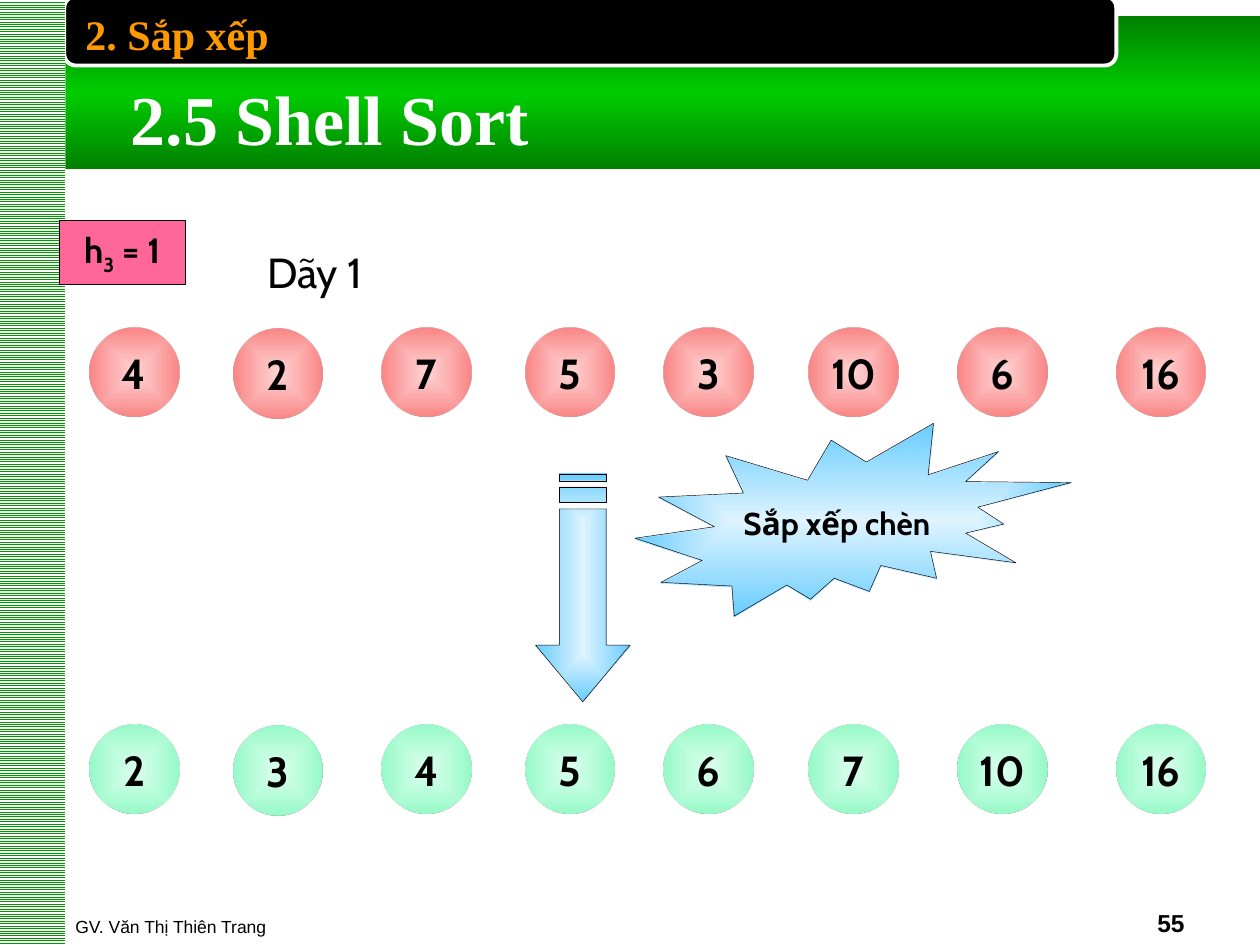
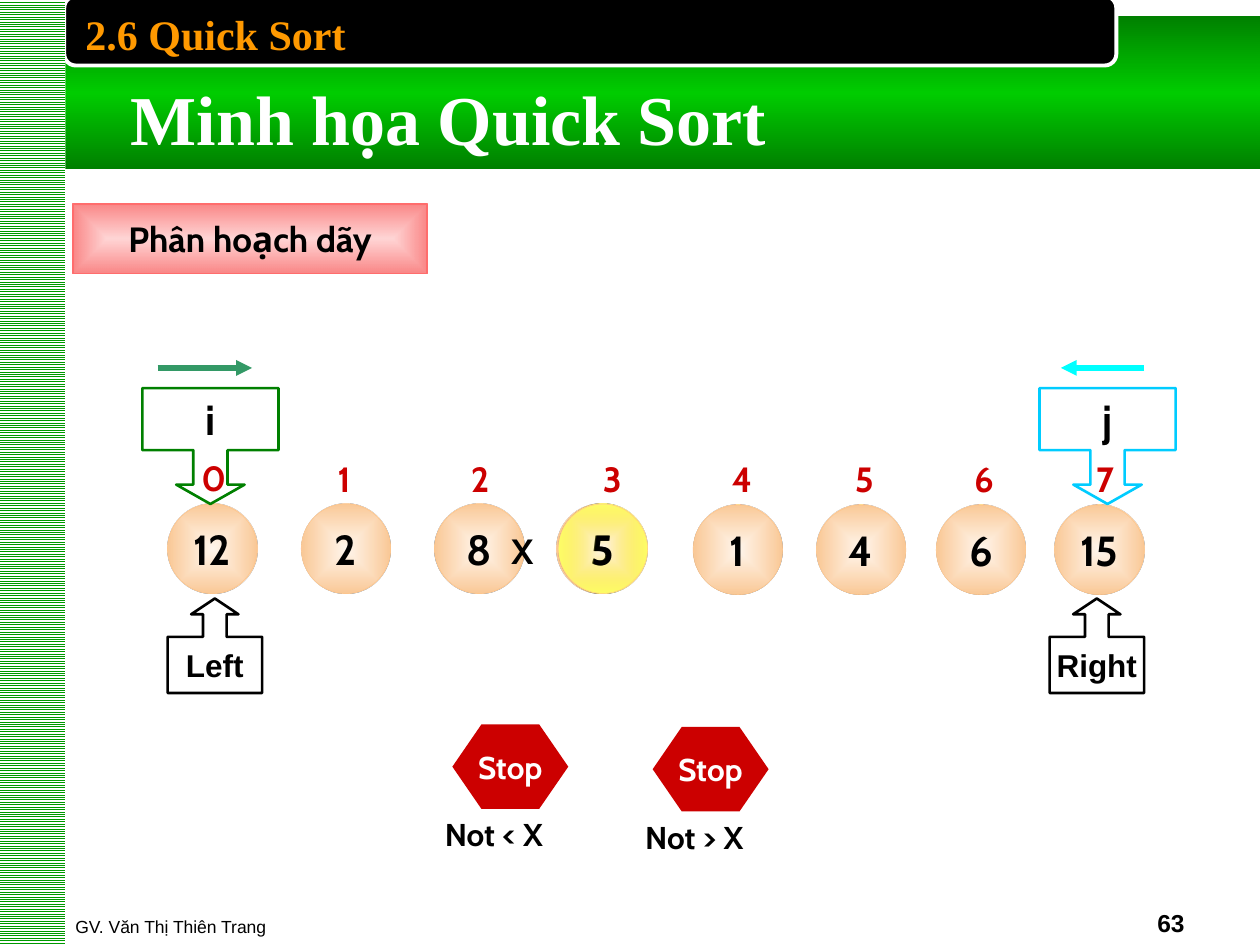
from lxml import etree
from pptx import Presentation
from pptx.dml.color import RGBColor
from pptx.enum.dml import MSO_PATTERN
from pptx.enum.shapes import MSO_CONNECTOR, MSO_SHAPE
from pptx.enum.text import MSO_ANCHOR, PP_ALIGN
from pptx.oxml.ns import qn
from pptx.util import Inches, Pt

RECT, ROUND, OVAL = MSO_SHAPE.RECTANGLE, MSO_SHAPE.ROUNDED_RECTANGLE, MSO_SHAPE.OVAL
BURST, HEX = MSO_SHAPE.EXPLOSION2, MSO_SHAPE.HEXAGON
UP, DOWN = MSO_SHAPE.UP_ARROW_CALLOUT, MSO_SHAPE.DOWN_ARROW_CALLOUT
LEFT, MID, RIGHT = PP_ALIGN.LEFT, PP_ALIGN.CENTER, PP_ALIGN.RIGHT
TOP, CENTRE, BASE = MSO_ANCHOR.TOP, MSO_ANCHOR.MIDDLE, MSO_ANCHOR.BOTTOM
STRAIGHT, HATCH = MSO_CONNECTOR.STRAIGHT, MSO_PATTERN.LIGHT_HORIZONTAL

# Places are columns and rows of a grid of 100 by 75 square cells.
COLS, ROWS, CELL = 100, 75, Inches(0.1)
BALL = 7.1

AUTHOR = "GV. Văn Thị Thiên Trang"

SHELL = {
    "part": "2. Sắp xếp", "title": "2.5 Shell Sort", "wide": 33.7, "page": "55",
    "step": ("h", "3", " = 1"), "name": "Dãy 1", "act": "Sắp xếp chèn",
    "lefts": [7.1, 18.5, 30.3, 41.7, 52.7, 64.2, 76, 88.6], "low": {1},
    "rows": [
        (57.5, "mint", [2, 3, 4, 5, 6, 7, 10, 16]),
        (26, "rose", [4, 2, 7, 5, 3, 10, 6, 16]),
    ],
}
QUICK = {
    "part": "2.6 Quick Sort", "title": "Minh họa Quick Sort", "wide": 52.5, "page": "63",
    "name": "Phân hoạch dãy",
    "lefts": [13.3, 23.9, 34.5, 44.2, 55, 64.8, 74.3, 83.7], "low": {4, 5, 6, 7},
    "list": [12, 2, 8, 5, 1, 4, 6, 15],
    "marks": [15, 25.4, 36.2, 46.7, 57, 66.7, 76.2, 85.8],
    "ends": [("Left", 13.3), ("Right", 83.3)],
    # label, left of callout, its line, arrow start, arrow end, arrow colour
    "hands": [
        ("i", 11.3, "008000", 12.5, 20, "339966"),
        ("j", 82.5, "00CCFF", 90.8, 84.2, "00FFFF"),
    ],
    "pivot": (5, "X"),
    "stops": [("Not < X", 35.9, 57.5), ("Not > X", 51.8, 57.7)],
}


class Theme:
    black, white, red = "000000", "FFFFFF", "CC0000"
    pink, green, tan, salmon = "FF6699", "009900", "FFC489", "FF6D6D"
    band = [(0, "008000", 100), (50, "00CC00", 100), (100, "008000", 100)]
    # centre colour, its opacity in percent, rim colour
    glow = {
        "sky": ("66CCFF", 20, "68CDFF"),
        "mint": ("99FFCC", 32, "96FAC8"),
        "rose": ("FF8989", 35, "FA8686"),
        "peach": ("FFCC99", 17, "FAC896"),
        "sun": ("FFFF2D", 0, "FFFF68"),
    }
    # font, size, bold, colour, alignment, anchor, wrap
    text = {
        "part": ("Times New Roman", 24, True, "FF9900", LEFT, TOP, True),
        "title": ("Times New Roman", 40, True, white, LEFT, TOP, False),
        "foot": ("Arial", 10, False, black, LEFT, BASE, True),
        "page": ("Arial", 14, True, black, RIGHT, BASE, True),
        "ball": ("Cabin", 24, True, black, MID, CENTRE, False),
        "tag": ("Cabin", 20, True, black, MID, CENTRE, False),
        "act": ("Cabin", 18, True, black, MID, CENTRE, False),
        "stop": ("Cabin", 18, True, white, MID, CENTRE, False),
        "end": ("Arial", 18, True, black, MID, CENTRE, False),
        "name": ("Cabin", 24, False, black, MID, TOP, False),
        "mark": ("Cabin", 20, True, red, MID, TOP, False),
        "pivot": ("Cabin", 20, True, black, MID, TOP, False),
        "note": ("Cabin", 18, True, black, MID, TOP, False),
    }


def span(*cells):
    return [round(c * CELL) for c in cells]


def rgb(code):
    return RGBColor.from_string(code)


def write(shape, style, *parts):
    """Fill the shape with one paragraph; a second part is set as a subscript."""
    font, size, bold, color, align, anchor, wrap = Theme.text[style]
    frame = shape.text_frame
    frame.word_wrap, frame.vertical_anchor = wrap, anchor
    para = frame.paragraphs[0]
    para.alignment = align
    for n, part in enumerate(parts):
        run = para.add_run()
        run.text = str(part)
        for key, val in {"name": font, "size": Pt(size), "bold": bold}.items():
            setattr(run.font, key, val)
        run.font.color.rgb = rgb(color)
        if n == 1:
            run._r.get_or_add_rPr().set("baseline", "-25000")


def blend(shape, stops, path=None):
    """Give a gradient: top to bottom, or from the centre along a path."""
    shape.fill.background()
    old = shape._element.spPr.find(qn("a:noFill"))
    grad = etree.Element(qn("a:gradFill"), rotWithShape="1")
    group = etree.SubElement(grad, qn("a:gsLst"))
    for pos, color, alpha in stops:
        stop = etree.SubElement(group, qn("a:gs"), pos=str(pos * 1000))
        tint = etree.SubElement(stop, qn("a:srgbClr"), val=color)
        if alpha < 100:
            etree.SubElement(tint, qn("a:alpha"), val=str(alpha * 1000))
    if path:
        way = etree.SubElement(grad, qn("a:path"), path=path)
        etree.SubElement(way, qn("a:fillToRect"), dict.fromkeys("ltrb", "50000"))
    else:
        etree.SubElement(grad, qn("a:lin"), ang="5400000", scaled="1")
    old.getparent().replace(old, grad)


def paint(shape, fill=None, line=None, width=0.25, path="shape"):
    """Fill with a glow name or a colour; None leaves fill or line out."""
    shape.shadow.inherit = False
    if fill in Theme.glow:
        core, alpha, rim = Theme.glow[fill]
        blend(shape, [(0, core, alpha), (100, rim, 100)], path)
    elif fill:
        shape.fill.solid()
        shape.fill.fore_color.rgb = rgb(fill)
    else:
        shape.fill.background()
    if line:
        shape.line.color.rgb, shape.line.width = rgb(line), Pt(width)
    else:
        shape.line.fill.background()


def draw(pool, kind, box, fill=None, line=None, width=0.25, adj=()):
    shape = pool.add_shape(kind, *span(*box))
    paint(shape, fill, line, width)
    for n, val in enumerate(adj):
        shape.adjustments[n] = val
    return shape


def label(pool, box, style, text):
    write(pool.add_textbox(*span(*box)), style, text)


def cluster(pool):
    return pool.add_group_shape().shapes


def balls(pool, data, top, fill, vals, line=None):
    for n, (left, val) in enumerate(zip(data["lefts"], vals)):
        drop = 0.1 if n in data["low"] else 0
        write(draw(pool, OVAL, (left, top + drop, BALL, BALL), fill, line), "ball", val)


def arrow(pool, start, end, row, color):
    line = pool.add_connector(STRAIGHT, *span(start, row, end, row))
    line.line.color.rgb, line.line.width = rgb(color), Pt(3)
    props = line._element.spPr
    etree.SubElement(props.find(qn("a:ln")), qn("a:tailEnd"), type="triangle")
    etree.SubElement(props, qn("a:effectLst"))


def fall(pool, mid, top):
    """Draw the striped arrow that points down from one row to the next."""
    half, wing = 1.85, 3.75
    bars = [[(mid - half, a), (mid + half, a), (mid + half, b), (mid - half, b)]
            for a, b in ((top, top + 0.6), (top + 1.1, top + 2.3))]
    neck, tip = top + 13.6, top + 18.1
    head = [(mid + wing, neck), (mid + half, neck), (mid + half, top + 2.8),
            (mid - half, top + 2.8), (mid - half, neck), (mid - wing, neck), (mid, tip)]
    pen = pool.build_freeform(*span(*head[0]))
    pen.add_line_segments([span(*p) for p in head[1:]], close=True)
    for bar in bars:
        pen.move_to(*span(*bar[0]))
        pen.add_line_segments([span(*p) for p in bar[1:]], close=True)
    paint(pen.convert_to_shape(), "sky", Theme.black, path="rect")


def base(deck, data):
    """Add a slide with the bands, title, header and footer."""
    pool = deck.slides.add_slide(deck.slide_layouts[6]).shapes
    blend(draw(pool, RECT, (0, 1.3, COLS, 12.1)), Theme.band)
    draw(pool, ROUND, (5.1, -0.3, 83.5, 5.5), Theme.black, Theme.white, 2.25, [0.167])
    side = draw(pool, RECT, (-0.1, 0, 5.3, ROWS))
    side.fill.patterned()
    side.fill.pattern = HATCH
    side.fill.fore_color.rgb, side.fill.back_color.rgb = rgb(Theme.green), rgb(Theme.white)
    label(pool, (5, 69.9, 60.8, 5), "foot", AUTHOR)
    label(pool, (71.7, 69.9, 23.3, 5), "page", data["page"])
    label(pool, (9.4, 5.5, data["wide"], 7.7), "title", data["title"])
    label(pool, (5.8, 0.2, 76.7, 5), "part", data["part"])
    return pool


def shell(deck, data):
    pool = base(deck, data)
    write(draw(pool, RECT, (4.7, 17.5, 10, 5.1), Theme.pink, Theme.black), "tag", *data["step"])
    label(pool, (19.7, 19.1, 10.6, 5), "name", data["name"])
    fall(pool, 46.25, 37.6)
    write(draw(pool, BURST, (50.4, 33.6, 34.6, 15.3), "sky", Theme.black), "act", data["act"])
    for top, fill, vals in data["rows"]:
        balls(pool, data, top, fill, vals)


def quick(deck, data):
    pool = base(deck, data)
    top = 40
    balls(pool, data, top, "peach", data["list"], Theme.tan)
    for text, left in data["ends"]:
        box = draw(pool, UP, (left, 47.5, 7.5, 7.5), None, Theme.black, 1.5,
                   [0.25, 0.25, 0.167, 0.594])
        write(box, "end", text)
    marks = cluster(pool)
    for n, left in enumerate(data["marks"]):
        label(marks, (left, 35.8 if n else 35.7, 3.8, 4.3), "mark", n)
    for text, left, edge, start, end, color in data["hands"]:
        hand = cluster(pool)
        box = draw(hand, DOWN, (left, 30.8, 10.8, 9.2), None, edge, 1.5,
                   [0.295, 0.295, 0.167, 0.535])
        write(box, "ball", text)
        arrow(hand, start, end, 29.2, color)
    val, name = data["pivot"]
    pivot = cluster(pool)
    write(draw(pivot, OVAL, (44.3, top, BALL, BALL), "sun", Theme.tan), "ball", val)
    label(pivot, (39.5, 41.5, 3.9, 4.3), "pivot", name)
    for text, left, row in data["stops"]:
        sign = cluster(pool)
        write(draw(sign, HEX, (left, row, 9.2, 6.7), Theme.red, adj=[0.344]), "stop", "Stop")
        label(sign, (left - 2.6, row + 6.7, 11.8, 4), "note", text)
    write(draw(pool, RECT, (5.8, 16.2, 28.1, 5.5), "rose", Theme.salmon, 1), "tag", data["name"])


def main():
    deck = Presentation()
    deck.slide_width, deck.slide_height = span(COLS, ROWS)
    shell(deck, SHELL)
    quick(deck, QUICK)
    deck.save("out.pptx")


if __name__ == "__main__":
    main()
